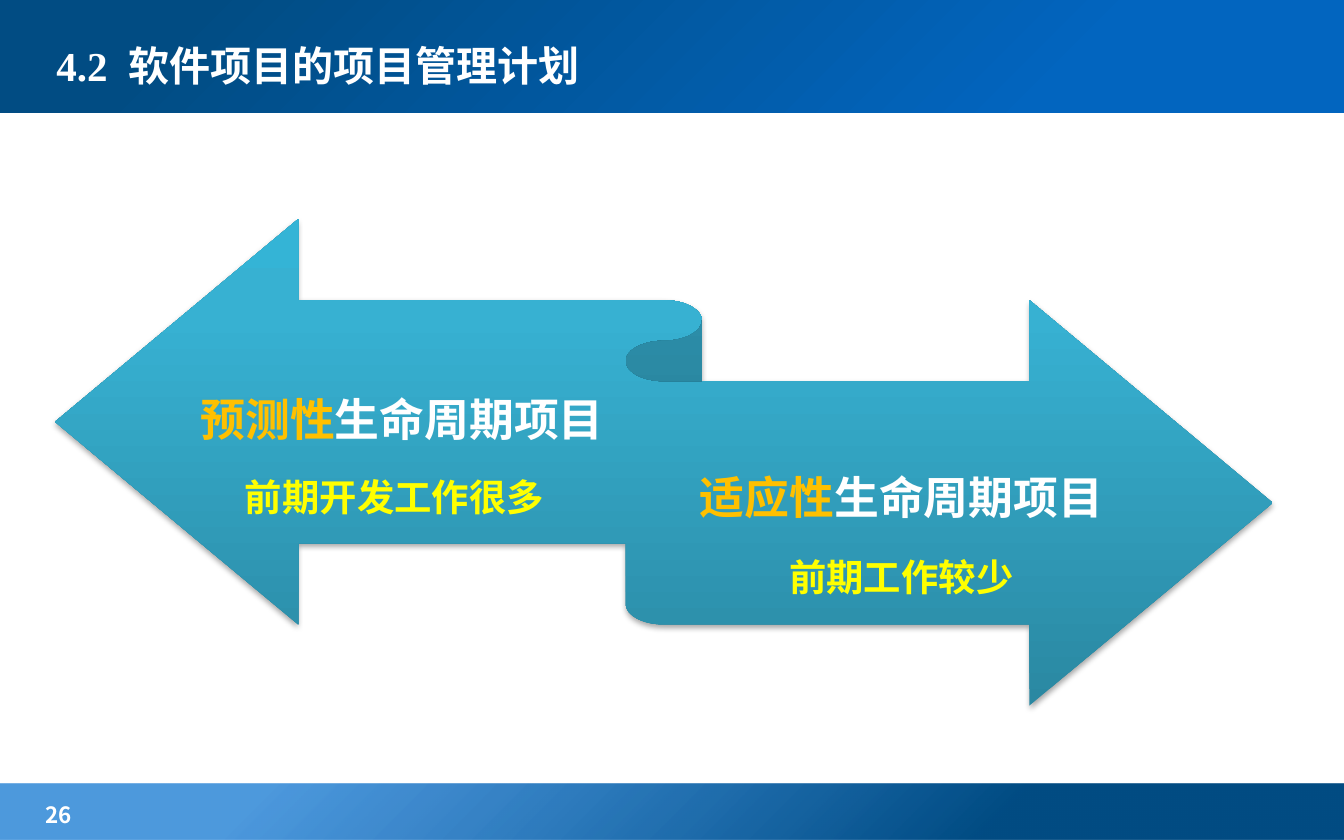
from collections import namedtuple

from pptx import Presentation
from pptx.dml.color import RGBColor
from pptx.enum.shapes import MSO_SHAPE as Shape
from pptx.enum.text import MSO_ANCHOR as Anchor, PP_ALIGN as Align
from pptx.oxml import parse_xml
from pptx.oxml.ns import nsdecls
from pptx.util import Inches, Pt

WHITE = RGBColor(0xFF, 0xFF, 0xFF)
YELLOW = RGBColor(0xFF, 0xFF, 0x00)
AMBER = RGBColor(0xFF, 0xC0, 0x00)
NAVY = RGBColor(0x01, 0x4C, 0x83)
BLUE = RGBColor(0x02, 0x65, 0xBF)
BRIGHT_BLUE = RGBColor(0x02, 0x6D, 0xCE)
TEAL_DARK = RGBColor(0x2A, 0x88, 0xA2)
TEAL = RGBColor(0x37, 0xB1, 0xD2)
TEAL_LIGHT = RGBColor(0x34, 0xB4, 0xD6)

LATIN, CJK = "Times New Roman", "Noto Sans CJK SC"
FROM_CORNER = ('<a:path path="circle"><a:fillToRect l="100000" t="100000"/></a:path>'
               '<a:tileRect r="-100000" b="-100000"/>')
UPWARD = '<a:lin ang="16200000" scaled="0"/>'


class Box(namedtuple("Box", "left top width height")):
    """A region in inches; areas within it are given in percent of it."""

    def area(self, left, top, width, height):
        return Box(self.left + self.width * left / 100, self.top + self.height * top / 100,
                   self.width * width / 100, self.height * height / 100)

    def lengths(self):
        return [Inches(value) for value in self]


def fill_gradient(shape, stops, direction):
    """Stops are (position %, colour, opacity %)."""
    stop_xml = "".join(
        f'<a:gs pos="{position * 1000}"><a:srgbClr val="{color}">'
        f'<a:alpha val="{opacity * 1000}"/></a:srgbClr></a:gs>'
        for position, color, opacity in stops)
    gradient = parse_xml(f'<a:gradFill {nsdecls("a")} rotWithShape="1">'
                         f'<a:gsLst>{stop_xml}</a:gsLst>{direction}</a:gradFill>')
    shape.element.spPr.find("{*}prstGeom").addnext(gradient)
    shape.line.fill.background()


def add_shadow(shape):
    shape.element.spPr.append(parse_xml(
        f'<a:effectLst {nsdecls("a")}><a:outerShdw blurRad="{Pt(3.1)}" dist="{Pt(1.8)}" '
        'dir="5400000" rotWithShape="0"><a:srgbClr val="000000"><a:alpha val="35000"/>'
        '</a:srgbClr></a:outerShdw></a:effectLst>'))


def write(shape, runs, size, latin=LATIN, frame_format=None, paragraph_format=None):
    """Runs are (text, colour)."""
    frame = shape.text_frame
    for name, value in {"word_wrap": True, **(frame_format or {})}.items():
        setattr(frame, name, value)
    paragraph = frame.paragraphs[0]
    for name, value in (paragraph_format or {}).items():
        setattr(paragraph, name, value)
    for text, color in runs:
        run = paragraph.add_run()
        run.text = text
        for name, value in {"name": latin, "size": Pt(size), "bold": True}.items():
            setattr(run.font, name, value)
        run.font.color.rgb = color
        run.font._element.append(parse_xml(f'<a:ea {nsdecls("a")} typeface="{CJK}"/>'))


def add_bar(slide, box, stops):
    bar = slide.shapes.add_shape(Shape.RECTANGLE, *box.lengths())
    bar.shadow.inherit = False
    fill_gradient(bar, stops, FROM_CORNER)
    return bar


def add_header(slide, box, text):
    bar = add_bar(slide, box, [(21, BLUE, 100), (86, NAVY, 100)])
    title = slide.shapes.title
    title.element.addprevious(bar.element)  # the bar lies behind the title
    title.left, title.top, title.width, title.height = box.area(3.2, 18.4, 63.8, 81.6).lengths()
    write(title, [(text, WHITE)], 22, frame_format={"vertical_anchor": Anchor.MIDDLE},
          paragraph_format={"alignment": Align.LEFT})


def add_footer(slide, box, number):
    add_bar(slide, box, [(26, NAVY, 100), (80, BRIGHT_BLUE, 70)])
    number_box = slide.shapes.add_textbox(*box.area(2, 19, 15.7, 62).lengths())
    write(number_box, [(number, WHITE)], 12, latin=CJK)


def add_ribbon(slide, box, sides):
    # Double arrow with its two headings
    group = slide.shapes.add_group_shape()
    ribbon = group.shapes.add_shape(Shape.LEFT_RIGHT_RIBBON, *box.lengths())
    fill_gradient(ribbon, [(0, TEAL_DARK, 100), (80, TEAL, 100), (100, TEAL_LIGHT, 100)], UPWARD)
    add_shadow(ribbon)
    heading_frame = {"vertical_anchor": Anchor.MIDDLE, "margin_left": 0, "margin_right": 0,
                     "margin_top": Inches(0.09), "margin_bottom": Inches(0.1)}
    for kind, heading_area, note, note_area, note_spacing in sides:
        heading = group.shapes.add_textbox(*box.area(*heading_area).lengths())
        write(heading, [(kind, AMBER), ("生命周期项目", WHITE)], 24, frame_format=heading_frame,
              paragraph_format={"alignment": Align.CENTER, "line_spacing": 0.9})
        # Remark below the heading
        remark = slide.shapes.add_textbox(*box.area(*note_area).lengths())
        write(remark, [(note, YELLOW)], 20, paragraph_format={"line_spacing": note_spacing})


def main():
    presentation = Presentation()
    presentation.slide_width, presentation.slide_height = Inches(10), Inches(6.25)
    slide = presentation.slides.add_slide(presentation.slide_layouts[5])
    add_header(slide, Box(0, -0.03, 10, 0.87), "4.2  软件项目的项目管理计划")
    add_footer(slide, Box(0, 5.83, 10, 0.42), " 26")
    add_ribbon(slide, Box(0.41, 1.63, 9.06, 3.62), [
        ("预测性", (10.2, 17.4, 36.6, 48.9), "前期开发工作很多", (14.5, 51.1, 27.2, 12.2), 1.0),
        ("适应性", (50, 33.4, 39, 48.9), "前期工作较少", (59.2, 63, 22.4, 15.2), 1.5),
    ])
    presentation.save("out.pptx")


if __name__ == "__main__":
    main()
